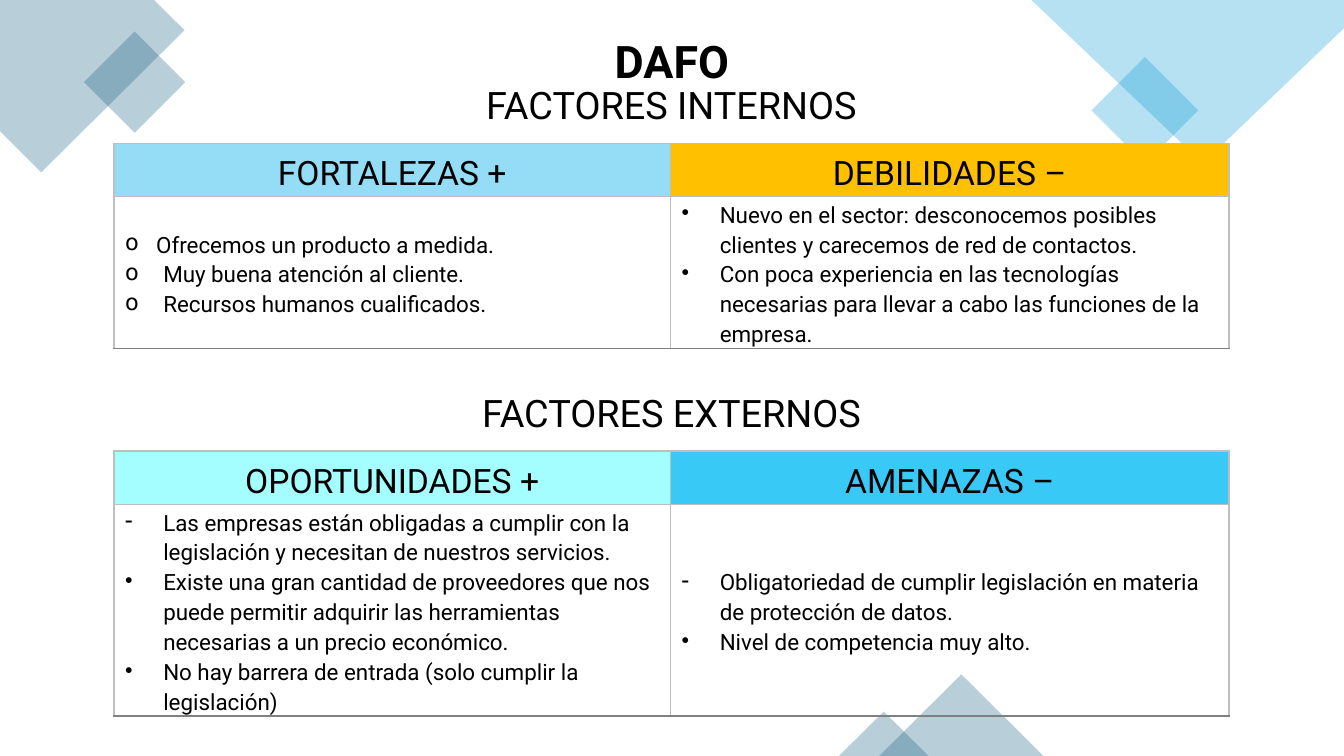
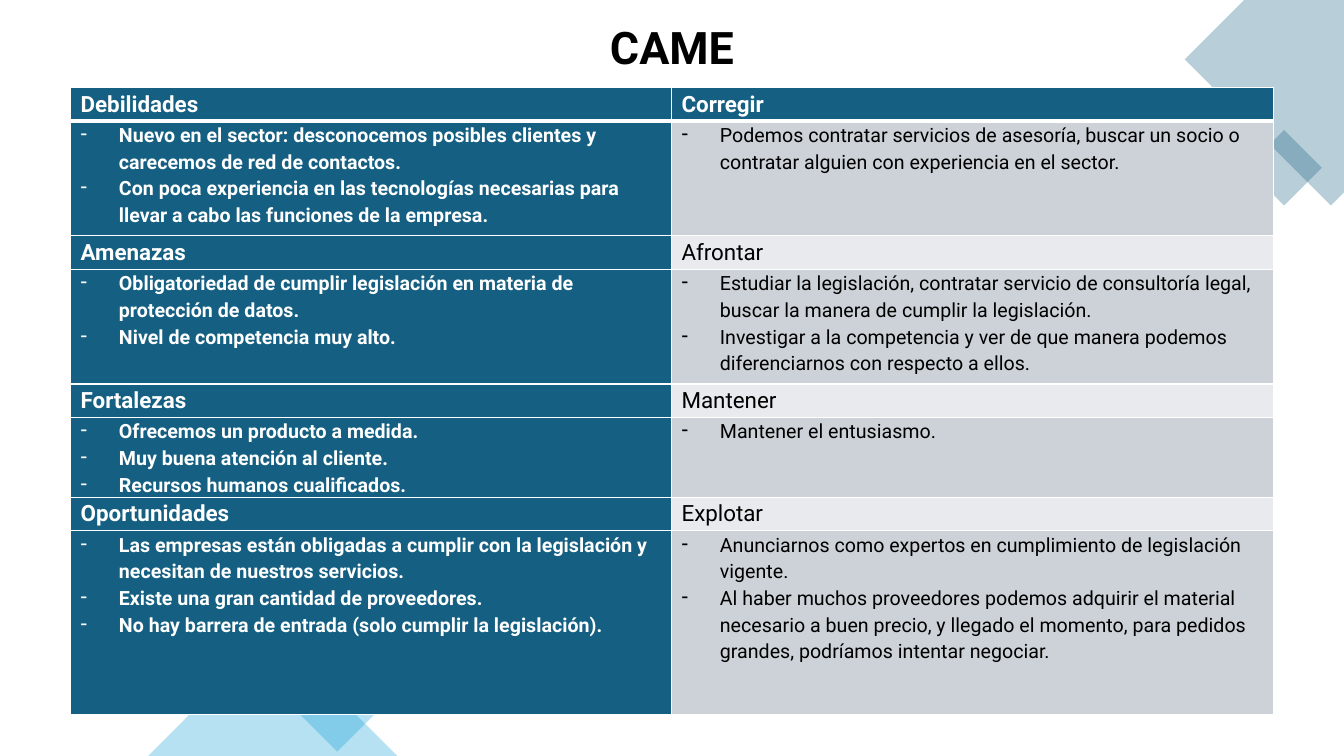
from pptx import Presentation
from pptx.dml.color import RGBColor
from pptx.enum.shapes import MSO_SHAPE as Shape
from pptx.enum.text import MSO_ANCHOR as Anchor, MSO_AUTO_SIZE as Auto, PP_ALIGN as Align
from pptx.oxml.ns import qn
from pptx.util import Inches, Pt
from lxml.etree import SubElement as Sub

BLACK = RGBColor(0x00, 0x00, 0x00)
WHITE = RGBColor(0xFF, 0xFF, 0xFF)
TEAL = RGBColor(0x15, 0x60, 0x82)
BLUE = RGBColor(0x0F, 0x9E, 0xD5)
SKY = RGBColor(0x95, 0xDC, 0xF7)
GOLD = RGBColor(0xFF, 0xC0, 0x00)
AQUA = RGBColor(0xA4, 0xFD, 0xFF)
CYAN = RGBColor(0x38, 0xC9, 0xF7)
PALE = RGBColor(0xE8, 0xEA, 0xED)
GRAY = RGBColor(0xCC, 0xD2, 0xD8)
LIGHT = RGBColor(0xBF, 0xBF, 0xBF)
DARK = RGBColor(0x80, 0x80, 0x80)

THIN, BASE = (LIGHT, 1), (DARK, 1)
FINE, THICK = (WHITE, 1), (WHITE, 3)
HANG = 0.38

INNER = (
    "FACTORES INTERNOS",
    ("FORTALEZAS +", SKY, [
        ("o", "Ofrecemos un producto a medida.", 0.31),
        ("o", "Muy buena atención al cliente."),
        ("o", "Recursos humanos cualificados."),
    ]),
    ("DEBILIDADES –", GOLD, [
        ("•", "Nuevo en el sector: desconocemos posibles clientes y carecemos de red de contactos."),
        ("•", "Con poca experiencia en las tecnologías necesarias para llevar a cabo "
              "las funciones de la empresa."),
    ]),
)
OUTER = (
    "FACTORES EXTERNOS",
    ("OPORTUNIDADES +", AQUA, [
        ("-", "Las empresas están obligadas a cumplir con la legislación y necesitan "
              "de nuestros servicios."),
        ("•", "Existe una gran cantidad de proveedores que nos puede permitir adquirir "
              "las herramientas necesarias a un precio económico."),
        ("•", "No hay barrera de entrada (solo cumplir la legislación)"),
    ]),
    ("AMENAZAS –", CYAN, [
        ("-", "Obligatoriedad de cumplir legislación en materia de protección de datos."),
        ("•", "Nivel de competencia muy alto."),
    ]),
)
CAME = [
    (1.14, "Debilidades", "Corregir", [
        "Nuevo en el sector: desconocemos posibles clientes y carecemos de red de contactos.",
        "Con poca experiencia en las tecnologías necesarias para llevar a cabo "
        "las funciones de la empresa.",
    ], [
        "Podemos contratar servicios de asesoría, buscar un socio o contratar alguien "
        "con experiencia en el sector.",
    ]),
    (1.14, "Amenazas", "Afrontar", [
        "Obligatoriedad de cumplir legislación en materia de protección de datos.",
        "Nivel de competencia muy alto.",
    ], [
        "Estudiar la legislación, contratar servicio de consultoría legal, buscar la manera "
        "de cumplir la legislación.",
        "Investigar a la competencia y ver de que manera podemos diferenciarnos "
        "con respecto a ellos.",
    ]),
    (0.79, "Fortalezas", "Mantener", [
        "Ofrecemos un producto a medida.",
        "Muy buena atención al cliente.",
        "Recursos humanos cualificados.",
    ], [
        "Mantener el entusiasmo.",
    ]),
    (1.83, "Oportunidades", "Explotar", [
        "Las empresas están obligadas a cumplir con la legislación y necesitan "
        "de nuestros servicios.",
        "Existe una gran cantidad de proveedores.",
        "No hay barrera de entrada (solo cumplir la legislación).",
    ], [
        "Anunciarnos como expertos en cumplimiento de legislación vigente.",
        "Al haber muchos proveedores podemos adquirir el material necesario a buen precio, "
        "y llegado el momento, para pedidos grandes, podríamos intentar negociar.",
    ]),
]


class Deck:
    """Hold the shared style and the slide being built."""

    face = "Roboto"
    lead = 1.15
    clear = 30

    def __init__(self):
        self.prs = Presentation()
        self.prs.slide_width = Inches(13.33)
        self.prs.slide_height = Inches(7.5)

    def page(self, text, top):
        """Start a slide with a centred title."""
        self.slide = self.prs.slides.add_slide(self.prs.slide_layouts[5])
        title = self.slide.shapes.title
        title.left, title.top = Inches(3.33), Inches(top)
        title.width, title.height = Inches(6.67), Inches(0.72)
        frame = title.text_frame
        frame.word_wrap = True
        frame.auto_size = Auto.NONE
        frame.vertical_anchor = Anchor.TOP
        self.lines(frame, [(None, text)], 32, bold=True, align=Align.CENTER)

    def lines(self, frame, items, size, ink=BLACK, bold=False, align=Align.LEFT):
        """Fill a frame with plain or bulleted paragraphs."""
        for i, (mark, text, *hang) in enumerate(items):
            para = frame.add_paragraph() if i else frame.paragraphs[0]
            para.text = text
            para.alignment = align
            para.line_spacing = self.lead
            if mark:
                gap = Inches(hang[0] if hang else HANG)
                props = para._p.get_or_add_pPr()
                props.set("marL", str(gap))
                props.set("indent", str(-gap))
                Sub(props, qn("a:buChar")).set("char", mark)
            font = para.font
            font.name, font.size, font.bold = self.face, Pt(size), bold
            font.color.rgb = ink

    def tint(self, shape, color):
        """Give a shape a see-through fill and no outline."""
        shape.shadow.inherit = False
        shape.fill.solid()
        shape.fill.fore_color.rgb = color
        tone = shape._element.spPr.find(qn("a:solidFill"))[0]
        Sub(tone, qn("a:alpha")).set("val", str(self.clear * 1000))
        shape.line.fill.background()

    def outline(self, points, color):
        """Draw a closed polygon."""
        spots = [(Inches(x), Inches(y)) for x, y in points]
        pen = self.slide.shapes.build_freeform(*spots[0])
        pen.add_line_segments(spots[1:], close=True)
        self.tint(pen.convert_to_shape(), color)

    def preset(self, kind, box, color, turn=0):
        """Draw a preset shape."""
        shape = self.slide.shapes.add_shape(kind, *map(Inches, box))
        shape.rotation = turn
        self.tint(shape, color)

    def tilt(self, x, y, side, color):
        """Draw a square standing on its corner."""
        self.preset(Shape.RECTANGLE, (x, y, side, side), color, 45)

    def peak(self, box, color):
        """Draw a triangle."""
        self.preset(Shape.ISOSCELES_TRIANGLE, box, color)

    def grid(self, x, y, cols, rows):
        """Add an unbanded table and return it."""
        box = map(Inches, (x, y, sum(cols), sum(rows)))
        table = self.slide.shapes.add_table(len(rows), len(cols), *box).table
        table.first_row = table.horz_banding = False
        for col, wide in zip(table.columns, cols):
            col.width = Inches(wide)
        for row, high in zip(table.rows, rows):
            row.height = Inches(high)
        return table

    def cell(self, cell, items, size, fill=None, edges=(None,) * 4,
             inset=(0.1, 0), anchor=Anchor.TOP, **look):
        """Style one cell; edges run left, right, top, bottom."""
        side, top, *base = map(Inches, inset)
        cell.margin_left = cell.margin_right = side
        cell.margin_top = top
        cell.margin_bottom = base[0] if base else top
        cell.vertical_anchor = anchor
        props = cell._tc.get_or_add_tcPr()
        for name, edge in zip("LRTB", edges):
            line = Sub(props, qn("a:ln" + name))
            if edge:
                color, wide = edge
                line.set("w", str(Pt(wide)))
                paint = Sub(line, qn("a:solidFill"))
                Sub(paint, qn("a:srgbClr")).set("val", str(color))
            else:
                Sub(line, qn("a:noFill"))
        if fill:
            cell.fill.solid()
            cell.fill.fore_color.rgb = fill
        else:
            cell.fill.background()
        self.lines(cell.text_frame, items, size, **look)


def dafo(deck):
    """Build the strengths and weaknesses slide."""
    deck.page("DAFO", 0.2)
    deck.outline([(0, 0), (1.53, 0), (1.83, 0.3), (0.41, 1.71), (0, 1.3)], TEAL)
    deck.tilt(0.98, 0.46, 0.71, TEAL)
    deck.tilt(10.98, 0.72, 0.75, BLUE)
    deck.outline([(13.33, 0), (10.23, 0), (11.93, 1.62), (13.33, 0.28)], BLUE)
    deck.peak((8.72, 6.69, 1.63, 0.81), TEAL)
    deck.peak((8.32, 7.06, 0.89, 0.44), TEAL)

    rows = (0.72, 0.53, 1.5, 0.3, 0.72, 0.53, 2.1)
    table = deck.grid(1.13, 0.7, (5.52, 5.54), rows)
    snug = dict(inset=(0.11, 0.02, 0), anchor=Anchor.MIDDLE)
    for top, (name, *sides) in ((0, INNER), (4, OUTER)):
        table.cell(top, 0).merge(table.cell(top, 1))
        deck.cell(table.cell(top, 0), [(None, name)], 27, inset=(0.15, 0.07),
                  edges=(None, None, None, THIN), align=Align.CENTER)
        for col, (head, fill, items) in enumerate(sides):
            deck.cell(table.cell(top + 1, col), [(None, head)], 24, fill,
                      (THIN,) * 4, align=Align.CENTER, **snug)
            deck.cell(table.cell(top + 2, col), items, 16,
                      edges=(THIN, THIN, THIN, BASE), **snug)
    for col in range(2):
        deck.cell(table.cell(3, col), [(None, "")], 10, inset=(0, 0),
                  edges=(None, None, BASE, None))


def came(deck):
    """Build the response slide."""
    deck.page("CAME", 0.07)
    deck.outline([(13.33, 0), (12.34, 0), (11.75, 0.59), (13.2, 2.04), (13.33, 1.91)], TEAL)
    deck.tilt(12.47, 1.4, 0.53, TEAL)
    deck.tilt(2.99, 6.6, 0.71, BLUE)
    deck.peak((1.47, 6.26, 2.47, 1.24), BLUE)

    rows = [high for block in CAME for high in (0.33, block[0])]
    table = deck.grid(0.7, 0.87, (5.96, 5.97), rows)
    strong = dict(ink=WHITE, bold=True)
    for i, (_, *heads, left, right) in enumerate(CAME):
        for col, (head, items) in enumerate(zip(heads, (left, right))):
            lit = col == 0 or i == 0
            rule = FINE if i else THICK
            deck.cell(table.cell(2 * i, col), [(None, head)], 16, TEAL if lit else PALE,
                      (FINE, FINE, FINE, rule), **(strong if lit else {}))
            deck.cell(table.cell(2 * i + 1, col), [("-", text) for text in items], 14,
                      GRAY if col else TEAL, (FINE, FINE, rule, FINE),
                      **({} if col else strong))


def main():
    """Build and save the deck."""
    deck = Deck()
    dafo(deck)
    came(deck)
    deck.prs.save("out.pptx")


if __name__ == "__main__":
    main()
